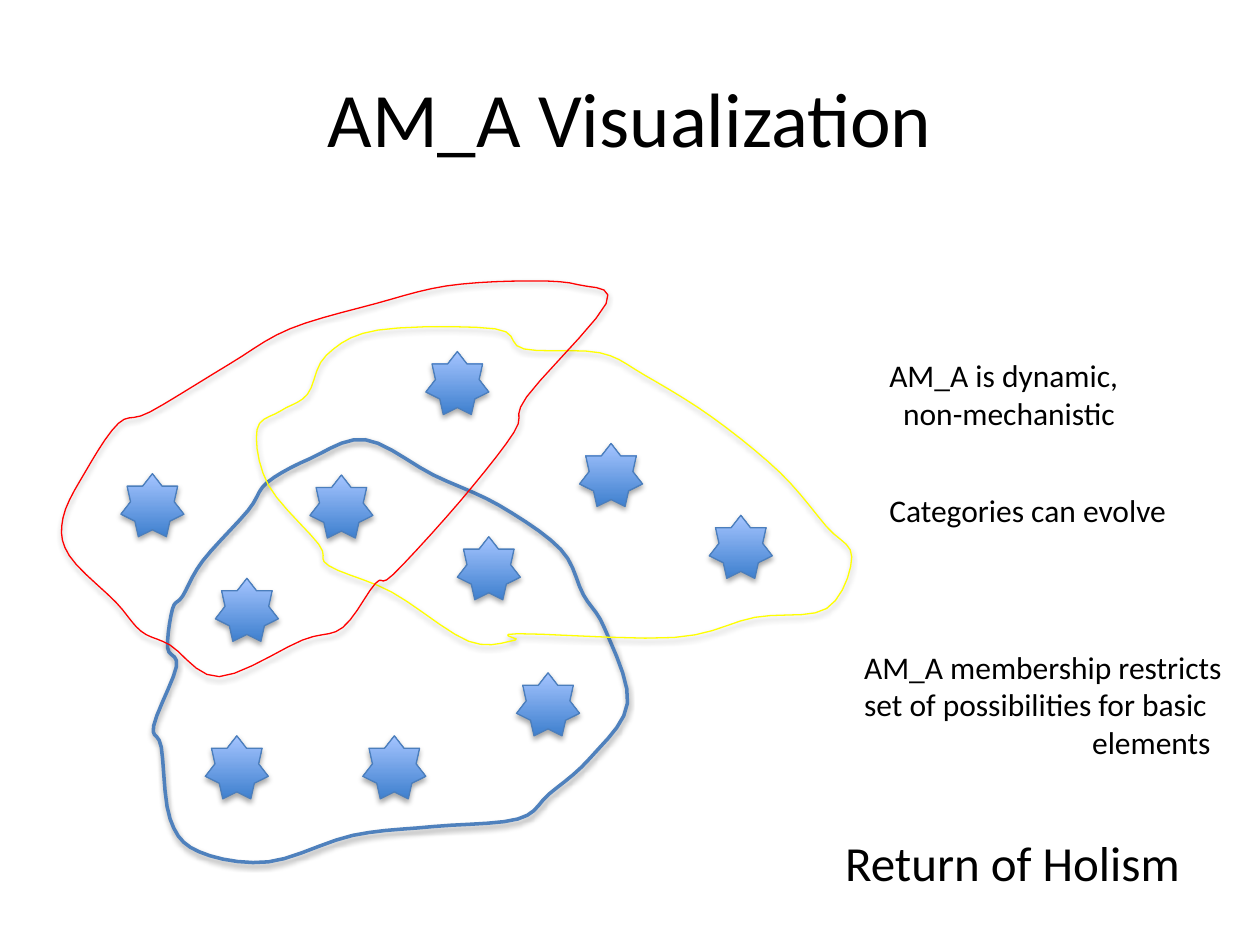
import pptx
import pptx.dml.color
import pptx.enum.shapes
import pptx.enum.text
import pptx.oxml
import pptx.oxml.ns
import pptx.util

PX = 9144  # EMU per px, 100 px to the inch
SLIDE_SIZE = (1000, 750)
CURVE_STEPS = 5

THEME = {
    "font": "Calibri", "text": "000000",
    "title_pt": 44, "note_pt": 18, "closing_pt": 28,
    "star_bottom": "3F80CE", "star_top": "A4C4FF", "star_line": "4B7EBC",
    "blue": "4F81BD", "yellow": "FFFF00", "red": "FF0000",
    "thin_pt": 0.75, "thick_pt": 2,
    # shadow: blur, distance (EMU), opacity (1/1000 %)
    "soft_shadow": (40000, 23000, 35000),
    "thick_shadow": (40000, 20000, 38000),
}

TITLE = ("AM_A Visualization", (50, 30, 900, 125))

# Basic elements: left and top of each star
STAR_SIZE = 50
STARS = [(171, 459), (163, 584), (96, 376), (288, 584), (563, 409),
         (410, 534), (460, 352), (363, 426), (246, 377), (338, 279)]

# Categories: line colour, line width, shadow, points the outline runs through
CATEGORIES = [
    ("blue", "thick_pt", "thick_shadow", [
        (137, 483), (145, 473), (161, 445), (197, 405), (212, 383),
        (246, 364), (290, 349), (344, 377), (396, 401), (445, 436),
        (463, 472), (480, 499), (498, 558), (468, 602), (436, 630),
        (411, 650), (344, 656), (280, 663), (213, 684), (158, 676),
        (135, 650), (128, 593), (122, 576), (140, 529), (133, 514)]),
    ("yellow", "thin_pt", "soft_shadow", [
        (204, 341), (213, 385), (253, 432), (261, 449), (311, 470),
        (372, 509), (409, 508), (411, 503), (535, 506), (599, 490),
        (656, 483), (676, 442), (656, 418), (619, 375), (565, 331),
        (512, 298), (476, 280), (416, 277), (393, 261), (300, 262),
        (259, 282), (244, 313), (223, 326)]),
    ("red", "thin_pt", "soft_shadow", [
        (94, 336), (68, 374), (50, 411), (55, 441), (92, 478),
        (112, 501), (135, 512), (174, 537), (240, 508), (272, 498),
        (298, 463), (312, 456), (365, 398), (408, 343), (418, 315),
        (481, 241), (459, 226), (416, 223), (354, 227), (298, 241),
        (230, 261), (182, 289), (119, 327)]),
]

# Notes: box, type size, lines as (text, indent)
NOTES = [
    ((696, 278, 204, 71), "note_pt",
     [("AM_A is dynamic,", 0), ("non-mechanistic", 11)]),
    ((696, 385, 242, 40), "note_pt", [("Categories can evolve", 0)]),
    ((676, 509, 307, 101), "note_pt",
     [("AM_A membership restricts", 0), ("set of possibilities for basic", 0),
      ("elements", 181)]),
    ((661, 656, 289, 57), "closing_pt", [("Return of Holism", 0)]),
]


def emu(*lengths):
    return [pptx.util.Emu(length * PX) for length in lengths]


def color(key):
    return pptx.dml.color.RGBColor.from_string(THEME[key])


def set_line(shape, color_key, width_key):
    shape.line.color.rgb = color(color_key)
    shape.line.width = pptx.util.Pt(THEME[width_key])


def set_shadow(shape, shadow_key):
    blur, distance, opacity = THEME[shadow_key]
    shape.shadow.inherit = False
    effects = shape._element.spPr.find(pptx.oxml.ns.qn("a:effectLst"))
    effects.append(pptx.oxml.parse_xml(
        f'<a:outerShdw {pptx.oxml.ns.nsdecls("a")} blurRad="{blur}" dist="{distance}"'
        ' dir="5400000" rotWithShape="0"><a:srgbClr val="000000">'
        f'<a:alpha val="{opacity}"/></a:srgbClr></a:outerShdw>'))


def format_runs(paragraph, size_key):
    for run in paragraph.runs:
        run.font.name = THEME["font"]
        run.font.size = pptx.util.Pt(THEME[size_key])
        run.font.color.rgb = color("text")


def smooth_outline(points):
    """Closed Catmull-Rom curve through the points."""
    curve = []
    for i, start in enumerate(points):
        before, end = points[i - 1], points[(i + 1) % len(points)]
        after = points[(i + 2) % len(points)]
        for step in range(CURVE_STEPS):
            t = step / CURVE_STEPS
            curve.append(tuple(
                b + t / 2 * (c - a + t * (2 * a - 5 * b + 4 * c - d
                                          + t * (3 * (b - c) + d - a)))
                for a, b, c, d in zip(before, start, end, after)))
    return curve


def add_title(slide):
    text, box = TITLE
    title = slide.shapes.title
    title.left, title.top, title.width, title.height = emu(*box)
    title.text_frame.text = text
    title.text_frame.vertical_anchor = pptx.enum.text.MSO_ANCHOR.MIDDLE
    heading = title.text_frame.paragraphs[0]
    heading.alignment = pptx.enum.text.PP_ALIGN.CENTER
    format_runs(heading, "title_pt")


def add_star(slide, left, top):
    star = slide.shapes.add_shape(pptx.enum.shapes.MSO_SHAPE.STAR_7_POINT,
                                  *emu(left, top, STAR_SIZE, STAR_SIZE))
    star.fill.gradient()
    star.fill.gradient_angle = 90
    for stop, key in zip(star.fill.gradient_stops, ("star_bottom", "star_top")):
        stop.color.rgb = color(key)
    set_line(star, "star_line", "thin_pt")
    set_shadow(star, "soft_shadow")


def add_category(slide, color_key, width_key, shadow_key, points):
    outline = [emu(x, y) for x, y in smooth_outline(points)]
    builder = slide.shapes.build_freeform(*outline[0])
    builder.add_line_segments(outline[1:], close=True)
    category = builder.convert_to_shape()
    category.fill.background()
    set_line(category, color_key, width_key)
    set_shadow(category, shadow_key)


def add_note(slide, box, size_key, lines):
    frame = slide.shapes.add_textbox(*emu(*box)).text_frame
    frame.word_wrap = False
    frame.auto_size = pptx.enum.text.MSO_AUTO_SIZE.SHAPE_TO_FIT_TEXT
    frame.text = "\n".join(text for text, _ in lines)
    for paragraph, (_, indent) in zip(frame.paragraphs, lines):
        if indent:
            paragraph._p.get_or_add_pPr().set("marL", str(indent * PX))
        format_runs(paragraph, size_key)


def main():
    deck = pptx.Presentation()
    deck.slide_width, deck.slide_height = emu(*SLIDE_SIZE)
    slide = deck.slides.add_slide(deck.slide_layouts[5])
    add_title(slide)
    for star in STARS:
        add_star(slide, *star)
    for category in CATEGORIES:
        add_category(slide, *category)
    for note in NOTES:
        add_note(slide, *note)
    deck.save("out.pptx")


if __name__ == "__main__":
    main()
